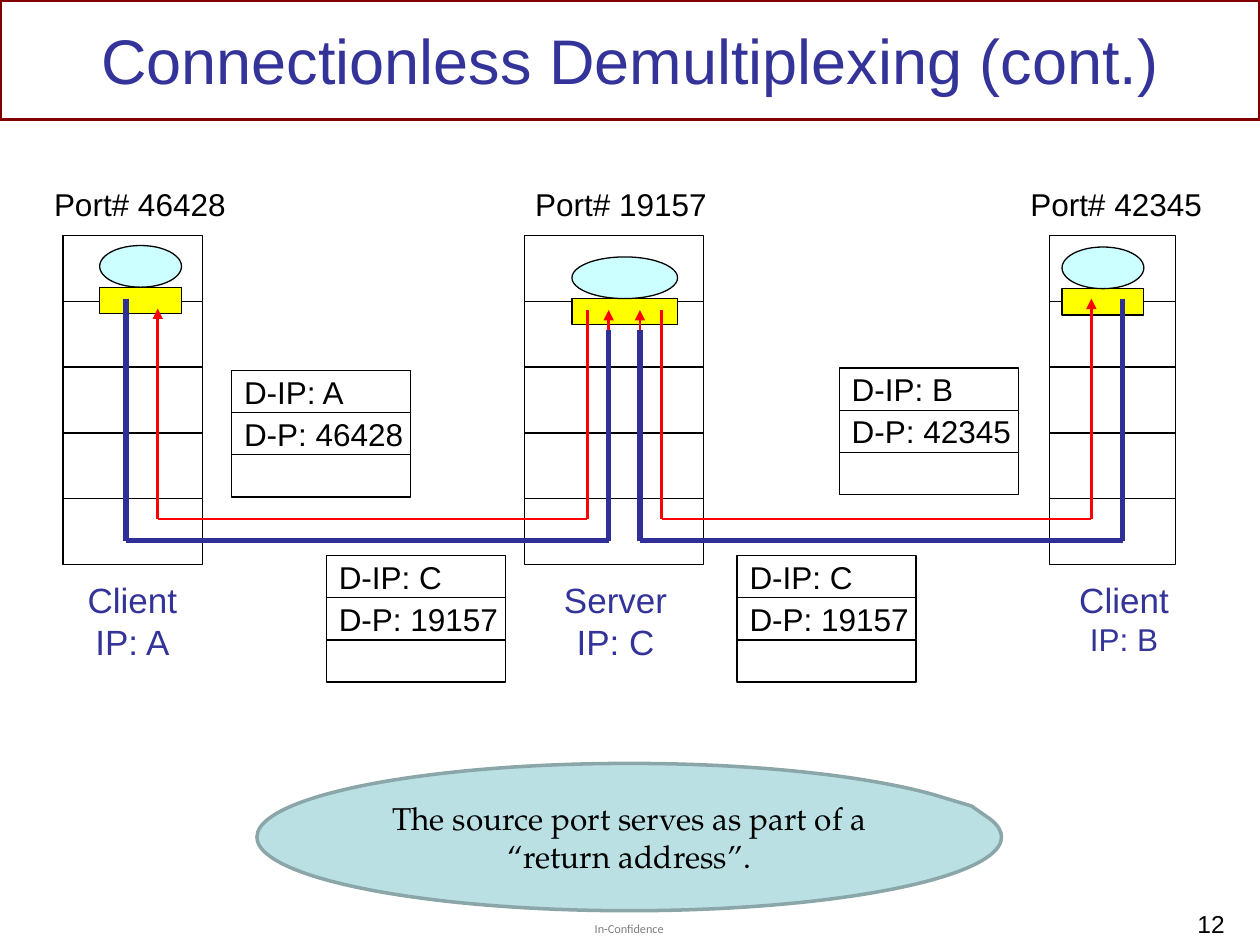
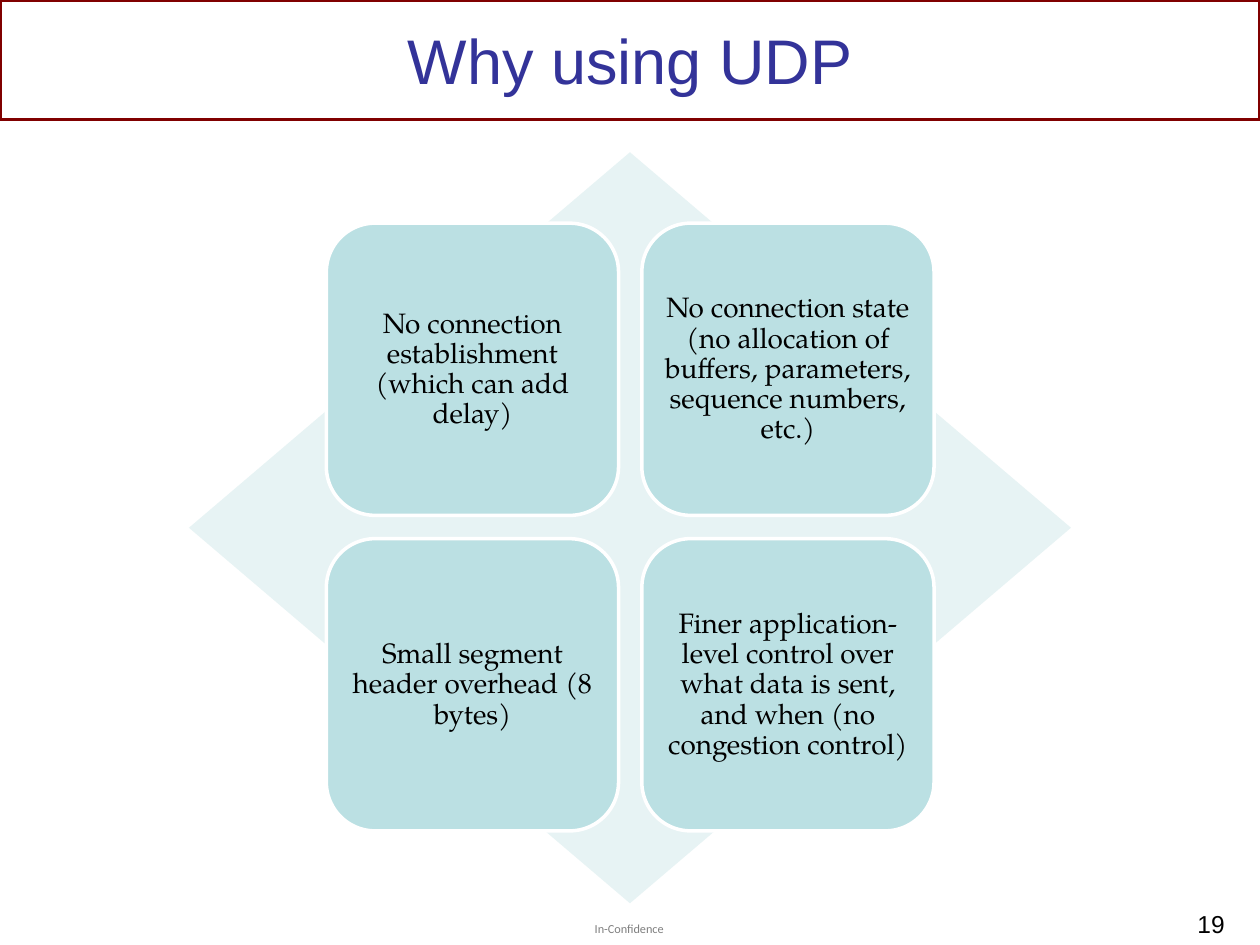
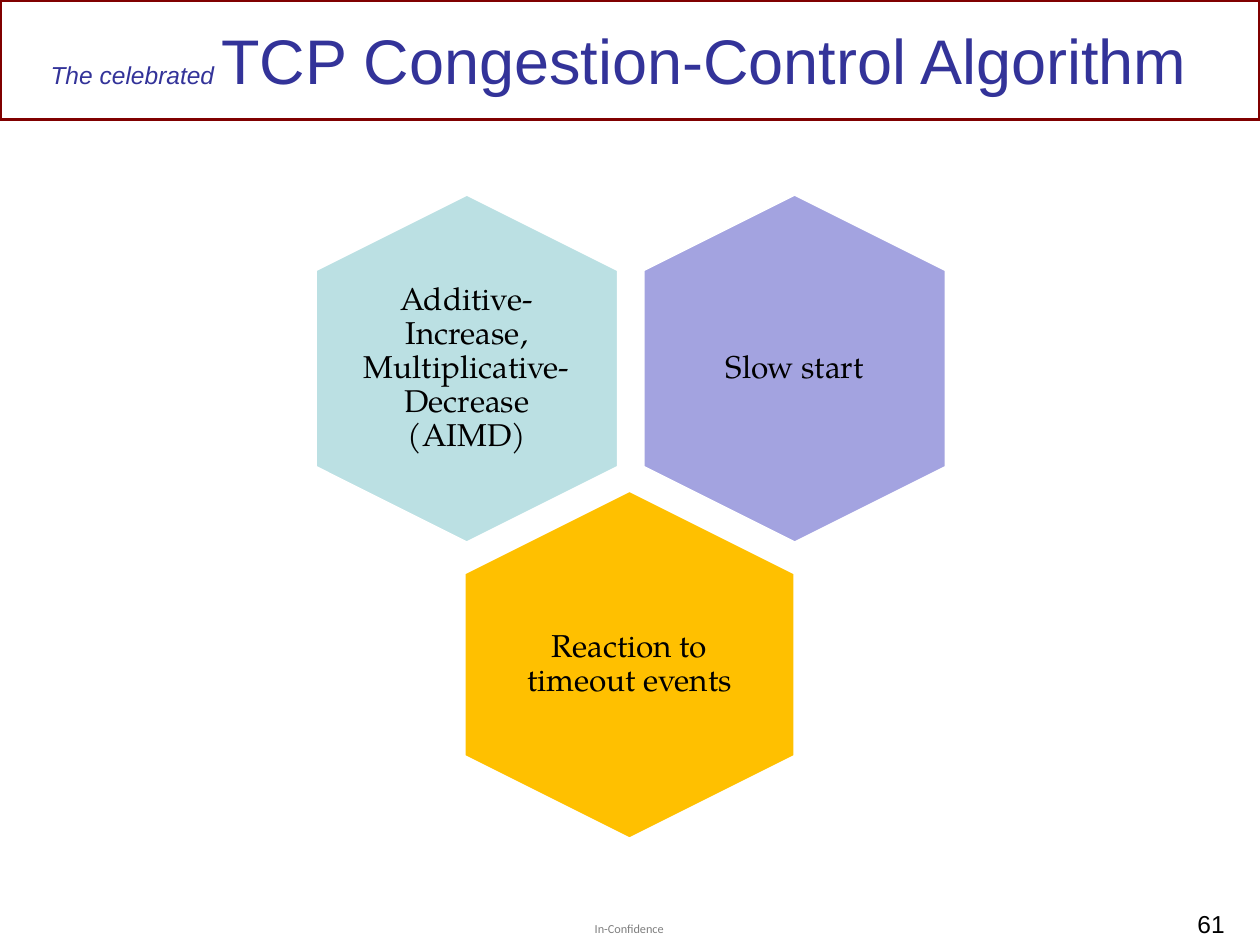
from dataclasses import dataclass
from typing import Any

from lxml.etree import SubElement
from pptx import Presentation
from pptx.dml.color import RGBColor
from pptx.enum.shapes import MSO_CONNECTOR, MSO_SHAPE
from pptx.enum.text import MSO_ANCHOR, PP_ALIGN
from pptx.oxml.ns import qn
from pptx.util import Cm, Pt

# Colours
BLACK = RGBColor(0x00, 0x00, 0x00)
WHITE = RGBColor(0xFF, 0xFF, 0xFF)
GREY = RGBColor(0x7F, 0x7F, 0x7F)
MAROON = RGBColor(0x80, 0x00, 0x00)
INDIGO = RGBColor(0x33, 0x33, 0x99)
NAVY = RGBColor(0x2F, 0x2F, 0x98)
RED = RGBColor(0xFF, 0x00, 0x00)
YELLOW = RGBColor(0xFF, 0xFF, 0x00)
CYAN = RGBColor(0xCC, 0xFF, 0xFF)
TEAL = RGBColor(0xBB, 0xE0, 0xE3)
STEEL = RGBColor(0x8A, 0xA6, 0xA8)
PALE = RGBColor(0xE7, 0xF3, 0xF4)
LILAC = RGBColor(0xA3, 0xA3, 0xE0)
AMBER = RGBColor(0xFF, 0xC0, 0x00)

# Text formats
SANS, SERIF = "Arial", "TeX Gyre Pagella"
TITLE = {"name": SANS, "size": Pt(36), "rgb": INDIGO}
LEAD = {**TITLE, "size": Pt(14), "italic": True}
NUMBER = {"name": SANS, "size": Pt(14), "rgb": BLACK}
FOOTER = {"name": "Calibri", "size": Pt(7), "rgb": GREY}
LABEL = {"name": SANS, "size": Pt(18), "rgb": BLACK}
BIG = {"name": SANS, "size": Pt(20), "rgb": INDIGO}
SMALL = {**BIG, "size": Pt(18)}
BODY = {"name": SERIF, "size": Pt(18), "rgb": BLACK}
CARD = {**BODY, "size": Pt(16)}

LEFT = {"alignment": PP_ALIGN.LEFT}
RIGHT = {"alignment": PP_ALIGN.RIGHT}
MID = {"alignment": PP_ALIGN.CENTER}
TIGHT = {**MID, "line_spacing": 0.9}

Run = tuple[str, dict[str, Any]]
Point = tuple[float, float]


@dataclass
class Box:
    x: float
    y: float
    w: float
    h: float


@dataclass
class Host:
    x: float
    w: float
    port: str
    port_x: float
    plug: Box
    name: Box
    lines: list[Run]


@dataclass
class Packet:
    x: float
    y: float
    ip: str
    port: str


@dataclass
class Wire:
    points: list[Point]
    color: RGBColor
    width: float
    arrow: bool = False


@dataclass
class Hexagon:
    x: float  # centre
    y: float
    h: float
    fill: RGBColor
    text: str
    area: Point
    inset: float = 0.18


# Slide 1 content
HOSTS = [
    Host(1.27, 2.82, "46428", 0.84, Box(2.01, 5.79, 1.65, 0.53),
         Box(1.5, 11.53, 2.34, 1.96), [("Client", BIG), ("IP: A", BIG)]),
    Host(21.16, 2.54, "42345", 20.52, Box(21.41, 5.82, 1.65, 0.53),
         Box(21.49, 11.53, 2.34, 1.88), [("Client", BIG), ("IP: B", SMALL)]),
    Host(10.57, 3.61, "19157", 10.54, Box(11.53, 6.02, 2.13, 0.53),
         Box(11.1, 11.53, 2.62, 1.96), [("Server", BIG), ("IP: C", BIG)]),
]
PACKETS = [
    Packet(4.67, 7.47, "A", "46428"),
    Packet(16.92, 7.42, "B", "42345"),
    Packet(6.58, 11.2, "C", "19157"),
    Packet(14.86, 11.2, "C", "19157"),
]
HIGH, LOW = 10.46, 10.9  # levels of the two cables
WIRES = [
    Wire([(11.84, 6.25), (11.84, HIGH), (3.18, HIGH), (3.18, 6.22)], RED, 1.5, True),
    Wire([(13.34, 6.25), (13.34, HIGH), (22, HIGH), (22, 6.02)], RED, 1.5, True),
    Wire([(12.27, LOW), (12.27, 6.25)], RED, 1.5, True),
    Wire([(12.9, LOW), (12.9, 6.25)], RED, 1.5, True),
    Wire([(2.54, 6.02), (2.54, LOW), (12.27, LOW), (12.27, 6.65)], NAVY, 3),
    Wire([(22.63, 6.02), (22.63, LOW), (12.9, LOW), (12.9, 6.65)], NAVY, 3),
]

# Slide 2 content
CARDS = [
    "No connection establishment (which can add delay)",
    "No connection state (no allocation of buffers, parameters, sequence numbers, etc.)",
    "Small segment header overhead (8 bytes)",
    "Finer application-level control over what data is sent, and when (no congestion control)",
]

# Slide 3 content
HEXES = [
    Hexagon(16.02, 7.43, 6.12, LILAC, "Slow start", (4.22, 4.85)),
    Hexagon(9.41, 7.43, 6.12, TEAL,
            "Additive-Increase, Multiplicative-Decrease (AIMD)", (4.22, 4.85), 0),
    Hexagon(12.69, 13.4, 6.68, AMBER, "Reaction to timeout events", (4.52, 4.75)),
]


def write(shape, paras: list[list[Run]], layout: dict[str, Any], wrap: bool = True,
          anchor=MSO_ANCHOR.TOP, inset: float | None = None) -> None:
    """Fill a shape with paragraphs made of formatted runs."""
    frame = shape.text_frame
    frame.word_wrap = wrap
    frame.vertical_anchor = anchor
    if inset is not None:
        for side in ("left", "top", "right", "bottom"):
            setattr(frame, f"margin_{side}", Cm(inset))
    for i, runs in enumerate(paras):
        para = frame.add_paragraph() if i else frame.paragraphs[0]
        for key, value in layout.items():
            setattr(para, key, value)
        for text, style in runs:
            run = para.add_run()
            run.text = text
            for key, value in style.items():
                setattr(run.font.color if key == "rgb" else run.font, key, value)


def label(slide, box: Box, paras: list[list[Run]], layout: dict[str, Any], **frame: Any) -> None:
    area = slide.shapes.add_textbox(Cm(box.x), Cm(box.y), Cm(box.w), Cm(box.h))
    write(area, paras, layout, **frame)


def draw(slide, kind, box: Box, fill: RGBColor | None,
         line: RGBColor | None = BLACK, width: float = 0.75):
    shape = slide.shapes.add_shape(kind, Cm(box.x), Cm(box.y), Cm(box.w), Cm(box.h))
    shape.shadow.inherit = False
    for part, color in ((shape.fill, fill), (shape.line.fill, line)):
        if color is None:
            part.background()
        else:
            part.solid()
            part.fore_color.rgb = color
    if line is not None:
        shape.line.width = Pt(width)
    return shape


def string(slide, wire: Wire) -> None:
    """Draw a wire as straight pieces, with an arrow on the last one."""
    for start, end in zip(wire.points, wire.points[1:]):
        piece = slide.shapes.add_connector(
            MSO_CONNECTOR.STRAIGHT, *(Cm(v) for v in (*start, *end)))
        piece.line.color.rgb = wire.color
        piece.line.width = Pt(wire.width)
        if wire.arrow and end == wire.points[-1]:
            SubElement(piece.line._get_or_add_ln(), qn("a:tailEnd"), type="triangle")
        SubElement(piece._element.spPr, qn("a:effectLst"))


def start(deck, title: list[Run], number: int, box: Box = Box(1.27, 0.2, 22.86, 2.01)):
    """Add a slide with the shared band, title, footer and number."""
    slide = deck.slides.add_slide(deck.slide_layouts[6])
    draw(slide, MSO_SHAPE.RECTANGLE, Box(0, 0, 25.4, 2.41), None, MAROON, 2)
    label(slide, Box(11.99, 18.57, 1.45, 0.3), [[("In-Confidence", FOOTER)]], LEFT,
          wrap=False, inset=0)
    label(slide, box, [title], MID, anchor=MSO_ANCHOR.MIDDLE)
    label(slide, Box(19.35, 18.21, 5.59, 0.76), [[(str(number), NUMBER)]], RIGHT)
    return slide


def demux(deck) -> None:
    slide = start(deck, [("Connectionless Demultiplexing (cont.)", TITLE)], 12)
    # Hosts with their layers, sockets and processes
    layer = 6.63 / 5
    for host in HOSTS:
        for i in range(5):
            draw(slide, MSO_SHAPE.RECTANGLE,
                 Box(host.x, 4.75 + i * layer, host.w, layer), WHITE)
        plug = host.plug
        draw(slide, MSO_SHAPE.RECTANGLE, plug, YELLOW)
        draw(slide, MSO_SHAPE.OVAL, Box(plug.x, plug.y - 0.84, plug.w, 0.84), CYAN)
        label(slide, host.name, [[line] for line in host.lines], MID, wrap=False)
        label(slide, Box(host.port_x, 3.61, 4.01, 1.02),
              [[(f"Port# {host.port}", LABEL)]], LEFT, wrap=False)
    for wire in WIRES:
        string(slide, wire)
    # Packets: two header fields and an empty payload
    for pack in PACKETS:
        for i, text in enumerate((f"D-IP: {pack.ip}", f"D-P: {pack.port}", "")):
            cell = draw(slide, MSO_SHAPE.RECTANGLE,
                        Box(pack.x, pack.y + i * 0.85, 3.61, 0.85), WHITE)
            if text:
                write(cell, [[(text, LABEL)]], LEFT, wrap=False, anchor=MSO_ANCHOR.MIDDLE)
    # Remark
    note = draw(slide, MSO_SHAPE.OVAL_CALLOUT, Box(5.18, 15.39, 15.01, 2.97), TEAL, STEEL, 2)
    note.adjustments[0], note.adjustments[1] = 0.46, -0.21
    write(note, [[("The source port serves as part of a “return address”.", BODY)]], MID,
          anchor=MSO_ANCHOR.MIDDLE)


def reasons(deck) -> None:
    slide = start(deck, [("Why using UDP", TITLE)], 19)
    draw(slide, MSO_SHAPE.DIAMOND, Box(3.81, 3.07, 17.78, 15.14), PALE, None)
    # Two by two cards
    side, step = 5.89, 6.36
    for i, text in enumerate(CARDS):
        row, col = divmod(i, 2)
        card = draw(slide, MSO_SHAPE.ROUNDED_RECTANGLE,
                    Box(6.58 + col * step, 4.5 + row * step, side, side), TEAL, WHITE, 2)
        write(card, [[(text, CARD)]], TIGHT, anchor=MSO_ANCHOR.MIDDLE, inset=0.18)


def control(deck) -> None:
    title = [("The celebrated ", LEAD), ("TCP Congestion-Control Algorithm", TITLE)]
    slide = start(deck, title, 61, Box(0, 0.2, 24.94, 2.01))
    # Upright hexagons with level text on top
    long = 7.04
    for hexa in HEXES:
        shape = draw(slide, MSO_SHAPE.HEXAGON,
                     Box(hexa.x - long / 2, hexa.y - hexa.h / 2, long, hexa.h),
                     hexa.fill, WHITE, 2)
        shape.rotation = 90
        w, h = hexa.area
        label(slide, Box(hexa.x - w / 2, hexa.y - h / 2, w, h), [[(hexa.text, BODY)]],
              TIGHT, anchor=MSO_ANCHOR.MIDDLE, inset=hexa.inset)


def main() -> None:
    deck = Presentation()
    deck.slide_width, deck.slide_height = Cm(25.4), Cm(19.05)
    for build in (demux, reasons, control):
        build(deck)
    deck.save("out.pptx")


if __name__ == "__main__":
    main()
